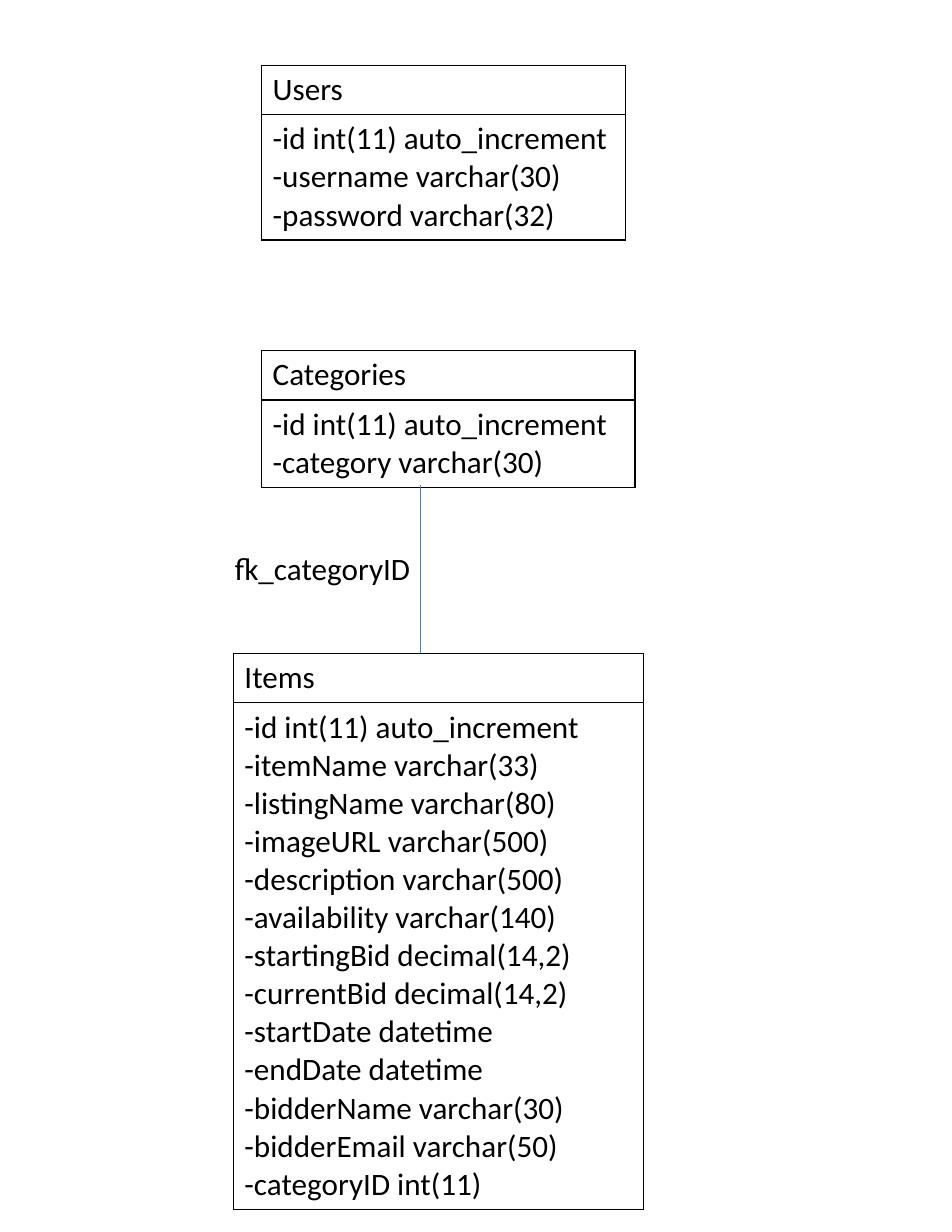
from dataclasses import dataclass

from lxml import etree
from pptx import Presentation
from pptx.dml.color import RGBColor
from pptx.enum.shapes import MSO_CONNECTOR
from pptx.enum.text import MSO_AUTO_SIZE
from pptx.oxml.ns import qn
from pptx.util import Cm, Pt

STRAIGHT = MSO_CONNECTOR.STRAIGHT
FIT_SHAPE = MSO_AUTO_SIZE.SHAPE_TO_FIT_TEXT
COLORS = {"text": "000000", "border": "000000", "link": "4B7EBC"}
FONT = "Calibri"
FONT_SIZE = Pt(20)
LINE_HEIGHT = 0.86
CELL_PADDING = 0.25


@dataclass(frozen=True)
class Entity:
    name: str
    fields: tuple[str, ...]
    left: float
    top: float
    width: float


@dataclass(frozen=True)
class ForeignKey:
    name: str
    x: float
    top: float
    bottom: float
    label_left: float
    label_top: float


ENTITIES = (
    Entity("Items", (
        "id int(11) auto_increment",
        "itemName varchar(33)",
        "listingName varchar(80)",
        "imageURL varchar(500)",
        "description varchar(500)",
        "availability varchar(140)",
        "startingBid decimal(14,2)",
        "currentBid decimal(14,2)",
        "startDate datetime",
        "endDate datetime",
        "bidderName varchar(30)",
        "bidderEmail varchar(50)",
        "categoryID int(11)",
    ), 5.29, 14.82, 9.31),
    Entity("Categories", (
        "id int(11) auto_increment",
        "category varchar(30)",
    ), 5.93, 7.95, 8.47),
    Entity("Users", (
        "id int(11) auto_increment",
        "username varchar(30)",
        "password varchar(32)",
    ), 5.93, 1.48, 8.26),
)
CATEGORY_KEY = ForeignKey("fk_categoryID", 9.53, 11, 14.82, 5.08, 12.34)


def write_text(tf, text: str) -> None:
    tf.text = text
    for p in tf.paragraphs:
        for r in p.runs:
            r.font.name = FONT
            r.font.size = FONT_SIZE
            r.font.bold = False
            r.font.color.rgb = RGBColor.from_string(COLORS["text"])


def add_borders(cell) -> None:
    props = cell._tc.get_or_add_tcPr()
    for position, side in enumerate(("lnL", "lnR", "lnT", "lnB")):
        line = etree.Element(qn(f"a:{side}"), w=str(Pt(1)))
        fill = etree.SubElement(line, qn("a:solidFill"))
        etree.SubElement(fill, qn("a:srgbClr"), val=COLORS["border"])
        props.insert(position, line)


def draw_entity(slide, entity: Entity) -> None:
    texts = (entity.name, "\n".join(f"-{field}" for field in entity.fields))
    heights = [LINE_HEIGHT * n + CELL_PADDING for n in (1, len(entity.fields))]
    table = slide.shapes.add_table(
        2, 1, Cm(entity.left), Cm(entity.top), Cm(entity.width), Cm(sum(heights))
    ).table
    table.first_row = False
    table.horz_banding = False
    for row, text, height in zip(table.rows, texts, heights):
        row.height = Cm(height)
        cell = row.cells[0]
        cell.fill.background()
        write_text(cell.text_frame, text)
        add_borders(cell)


def draw_foreign_key(slide, key: ForeignKey) -> None:
    link = slide.shapes.add_connector(
        STRAIGHT, Cm(key.x), Cm(key.top), Cm(key.x), Cm(key.bottom)
    )
    link.line.color.rgb = RGBColor.from_string(COLORS["link"])
    link.line.width = Pt(0.75)
    etree.SubElement(link._element.spPr, qn("a:effectLst"))

    label = slide.shapes.add_textbox(
        Cm(key.label_left), Cm(key.label_top), Cm(4.52), Cm(1.12)
    )
    tf = label.text_frame
    tf.word_wrap = False
    tf.auto_size = FIT_SHAPE
    write_text(tf, key.name)


def main() -> None:
    prs = Presentation()
    prs.slide_width = Cm(21.59)
    prs.slide_height = Cm(27.94)
    slide = prs.slides.add_slide(prs.slide_layouts[6])
    for entity in ENTITIES:
        draw_entity(slide, entity)
    draw_foreign_key(slide, CATEGORY_KEY)
    prs.save("out.pptx")


if __name__ == "__main__":
    main()
